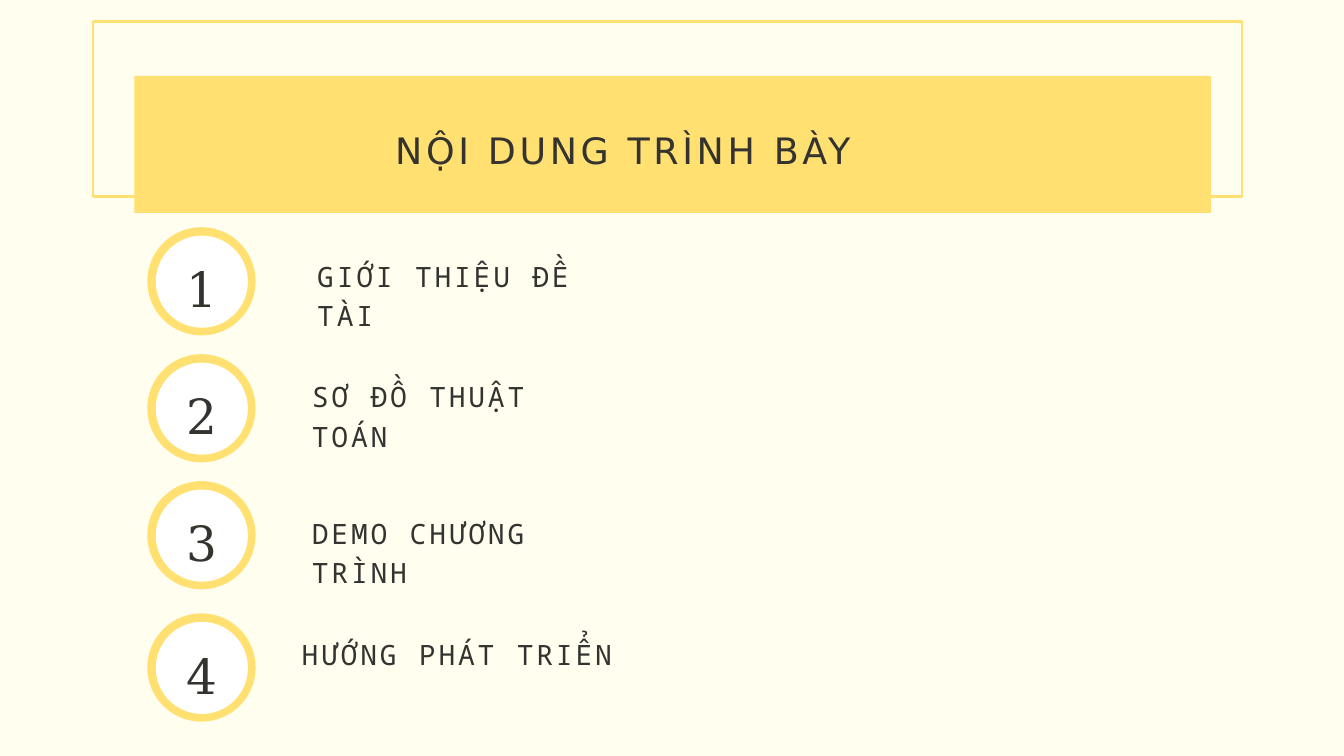
"""Builds the agenda slide with a title banner and four numbered topics."""
from dataclasses import dataclass

from pptx import Presentation
from pptx.dml.color import RGBColor
from pptx.enum.shapes import MSO_SHAPE
from pptx.enum.text import MSO_AUTO_SIZE
from pptx.util import Cm, Pt

RECTANGLE = MSO_SHAPE.RECTANGLE
OVAL = MSO_SHAPE.OVAL
FIT_SHAPE = MSO_AUTO_SIZE.SHAPE_TO_FIT_TEXT


@dataclass(frozen=True)
class Theme:
    paper: str = "FFFEEF"
    accent: str = "FFE071"
    disc: str = "FFFFFF"
    ink: str = "343330"
    title_font: str = "DejaVu Sans"
    label_font: str = "Noto Sans Mono"
    number_font: str = "DejaVu Serif"
    title_size: int = 39
    label_size: int = 30
    number_size: int = 52
    leading: float = 1.4
    tracking: float = 0.1


def write(box, text, *, font, size, color, leading, tracking=0):
    frame = box.text_frame
    frame.margin_left = frame.margin_right = 0
    frame.margin_top = frame.margin_bottom = 0
    frame.word_wrap = True
    frame.auto_size = FIT_SHAPE
    para = frame.paragraphs[0]
    para.line_spacing = Pt(size * leading)
    span = para.add_run()
    span.text = text
    span.font.name = font
    span.font.size = Pt(size)
    span.font.color.rgb = RGBColor.from_string(color)
    if tracking:
        span.font._element.set("spc", str(round(size * tracking * 100)))


class Painter:
    def __init__(self, page, theme):
        self.page = page
        self.theme = theme

    def background(self):
        fill = self.page.background.fill
        fill.solid()
        fill.fore_color.rgb = RGBColor.from_string(self.theme.paper)

    def shape(self, kind, left, top, width, height):
        shape = self.page.shapes.add_shape(
            kind, Cm(left), Cm(top), Cm(width), Cm(height))
        shape.shadow.inherit = False
        return shape

    def solid(self, kind, left, top, width, height, color):
        shape = self.shape(kind, left, top, width, height)
        shape.fill.solid()
        shape.fill.fore_color.rgb = RGBColor.from_string(color)
        shape.line.fill.background()

    def outline(self, left, top, width, height, weight):
        shape = self.shape(RECTANGLE, left, top, width, height)
        shape.fill.background()
        shape.line.color.rgb = RGBColor.from_string(self.theme.accent)
        shape.line.width = Cm(weight)

    def text(self, text, left, top, width, height, **style):
        box = self.page.shapes.add_textbox(
            Cm(left), Cm(top), Cm(width), Cm(height))
        write(box, text, color=self.theme.ink,
              leading=self.theme.leading, **style)

    def title(self, text, left, top, width, height):
        theme = self.theme
        self.text(text, left, top, width, height, font=theme.title_font,
                  size=theme.title_size, tracking=theme.tracking)

    def label(self, text, left, top, width):
        theme = self.theme
        self.text(text, left, top, width, 1.45, font=theme.label_font,
                  size=theme.label_size, tracking=theme.tracking)

    def badge(self, number, left, top):
        theme = self.theme
        self.solid(OVAL, left, top, 4.09, 4.09, theme.accent)
        self.solid(OVAL, left + 0.32, top + 0.32, 3.48, 3.48, theme.disc)
        self.text(str(number), left + 1.47, top + 0.85, 1.17, 2.46,
                  font=theme.number_font, size=theme.number_size)


TOPICS = [
    ("GIỚI THIỆU ĐỀ TÀI", 8.59, 11.99, 9.6, 12.27),
    ("SƠ ĐỒ THUẬT TOÁN", 13.39, 11.79, 14.15, 11.53),
    ("DEMO CHƯƠNG TRÌNH", 18.19, 11.79, 19.3, 12.24),
    ("HƯỚNG PHÁT TRIỂN", 23.19, 11.4, 23.9, 20.24),
]


def main():
    deck = Presentation()
    deck.slide_width, deck.slide_height = Cm(50.8), Cm(28.58)
    theme = Theme()
    painter = Painter(deck.slides.add_slide(deck.slide_layouts[6]), theme)

    painter.background()
    painter.outline(3.51, 0.81, 43.43, 6.63, 0.1)
    painter.solid(RECTANGLE, 5.08, 2.87, 40.69, 5.18, theme.accent)
    painter.title("NỘI DUNG TRÌNH BÀY", 14.94, 4.57, 18.9, 1.85)
    for number, (topic, badge_top, left, top, width) in enumerate(TOPICS, 1):
        painter.badge(number, 5.57, badge_top)
        painter.label(topic, left, top, width)
    deck.save("out.pptx")


if __name__ == "__main__":
    main()
